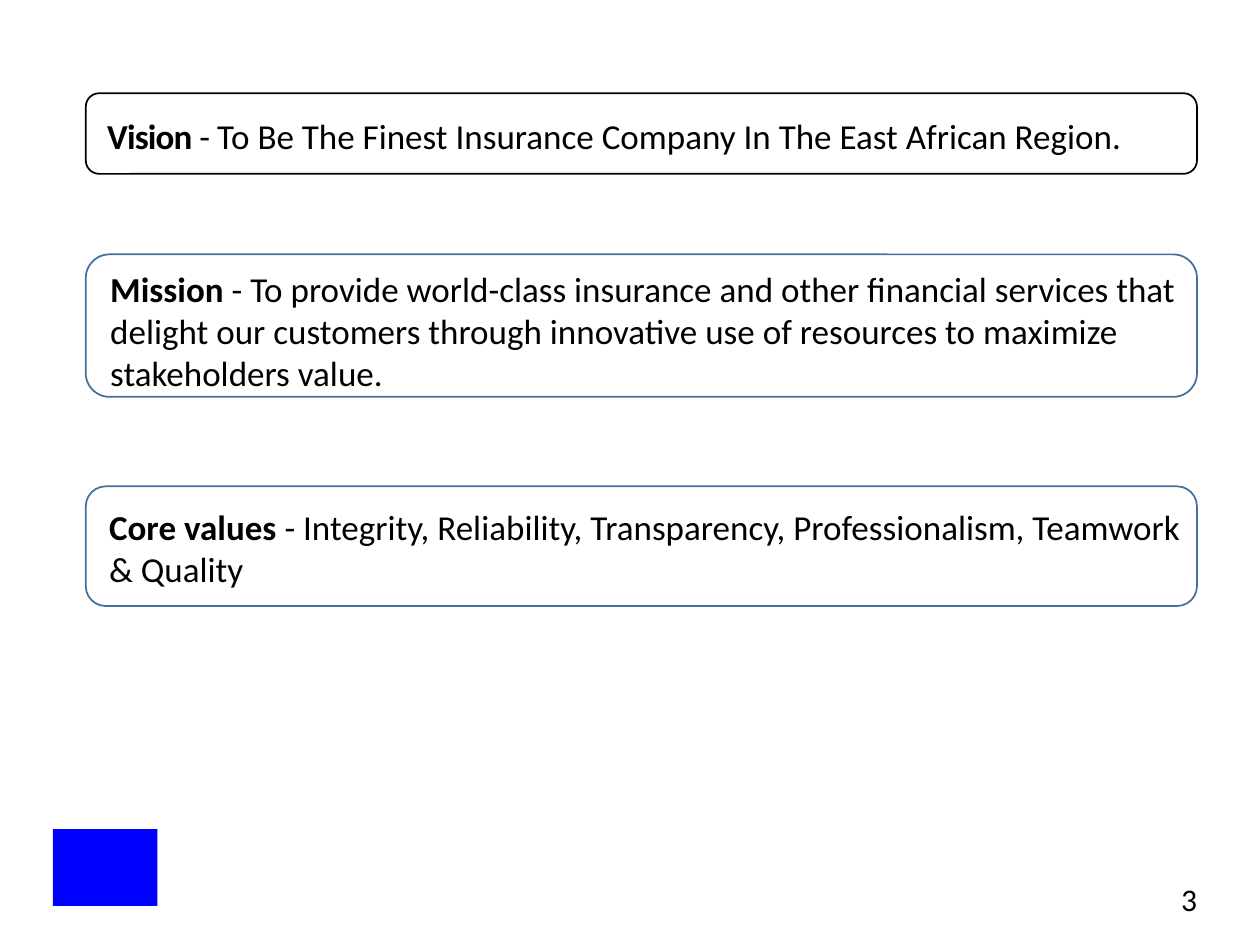
from dataclasses import dataclass

from pptx import Presentation
from pptx.dml.color import RGBColor
from pptx.enum.shapes import MSO_SHAPE
from pptx.enum.text import MSO_ANCHOR, PP_ALIGN
from pptx.util import Pt


@dataclass(frozen=True)
class Theme:
    font: str = "Calibri"
    body_size: int = 20
    number_size: int = 18
    text: RGBColor = RGBColor(0, 0, 0)
    outline: RGBColor = RGBColor(0x41, 0x71, 0x9C)
    emblem: RGBColor = RGBColor(0, 0, 0xFF)


THEME = Theme()
LEFT, WIDTH = 49, 635
STATEMENTS = [
    (53.3, 46.1, 2, THEME.text, -50,
     ("Vision", " - ", "To Be The Finest Insurance Company In The East African Region.")),
    (145.4, 81.4, 6, THEME.outline, 0,
     ("Mission ", "- ", "To provide world-class insurance and other financial services that "
      "delight our customers through innovative use of resources to maximize stakeholders value.")),
    (277.9, 68.4, 2, THEME.outline, 0,
     ("Core values ", "- ",
      "Integrity, Reliability, Transparency, Professionalism, Teamwork & Quality")),
]


def style_paragraph(para, size):
    para.font.name = THEME.font
    para.font.size = Pt(size)
    para.font.color.rgb = THEME.text


def add_statement(page, bounds, top_inset, line_color, tracking, parts):
    box = page.shapes.add_shape(MSO_SHAPE.ROUNDED_RECTANGLE, *map(Pt, bounds))
    box.shadow.inherit = False
    box.fill.background()
    box.line.color.rgb = line_color
    box.line.width = Pt(1)
    frame = box.text_frame
    frame.word_wrap = True
    frame.vertical_anchor = MSO_ANCHOR.MIDDLE
    frame.margin_left, frame.margin_top = Pt(10), Pt(top_inset)
    frame.margin_right = frame.margin_bottom = 0
    para = frame.paragraphs[0]
    para.alignment = PP_ALIGN.LEFT
    style_paragraph(para, THEME.body_size)
    for index, text in enumerate(parts):
        span = para.add_run()
        span.text = text
        if index == 0:
            span.font.bold = True
        if tracking and index < 2:
            span.font._element.set("spc", str(tracking))


def add_emblem(page, bounds):
    emblem = page.shapes.add_shape(MSO_SHAPE.RECTANGLE, *map(Pt, bounds))
    emblem.shadow.inherit = False
    emblem.fill.solid()
    emblem.fill.fore_color.rgb = THEME.emblem
    emblem.line.fill.background()


def add_page_number(page, bounds, number):
    box = page.shapes.add_textbox(*map(Pt, bounds))
    frame = box.text_frame
    frame.word_wrap = True
    frame.margin_left = frame.margin_top = frame.margin_right = frame.margin_bottom = 0
    para = frame.paragraphs[0]
    para.text = number
    para.alignment = PP_ALIGN.RIGHT
    style_paragraph(para, THEME.number_size)


def main():
    deck = Presentation()
    deck.slide_width, deck.slide_height = Pt(720), Pt(540)
    page = deck.slides.add_slide(deck.slide_layouts[6])
    for top, height, top_inset, line_color, tracking, parts in STATEMENTS:
        add_statement(page, (LEFT, top, WIDTH, height), top_inset, line_color, tracking, parts)
    add_emblem(page, (30.2, 473.8, 59.8, 43.9))
    add_page_number(page, (518.4, 502.6, 165.6, 22.3), "3")
    deck.save("out.pptx")


if __name__ == "__main__":
    main()
